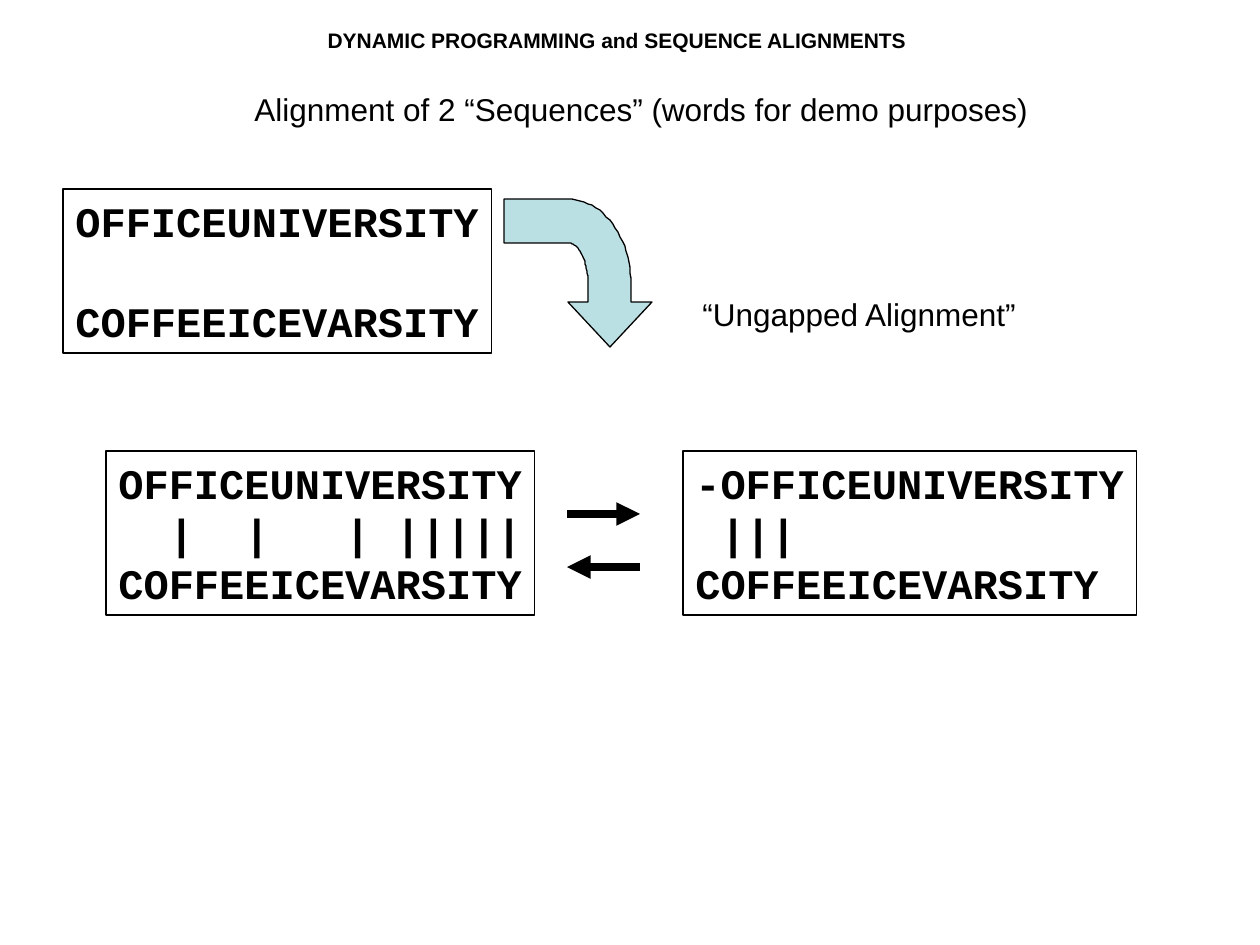
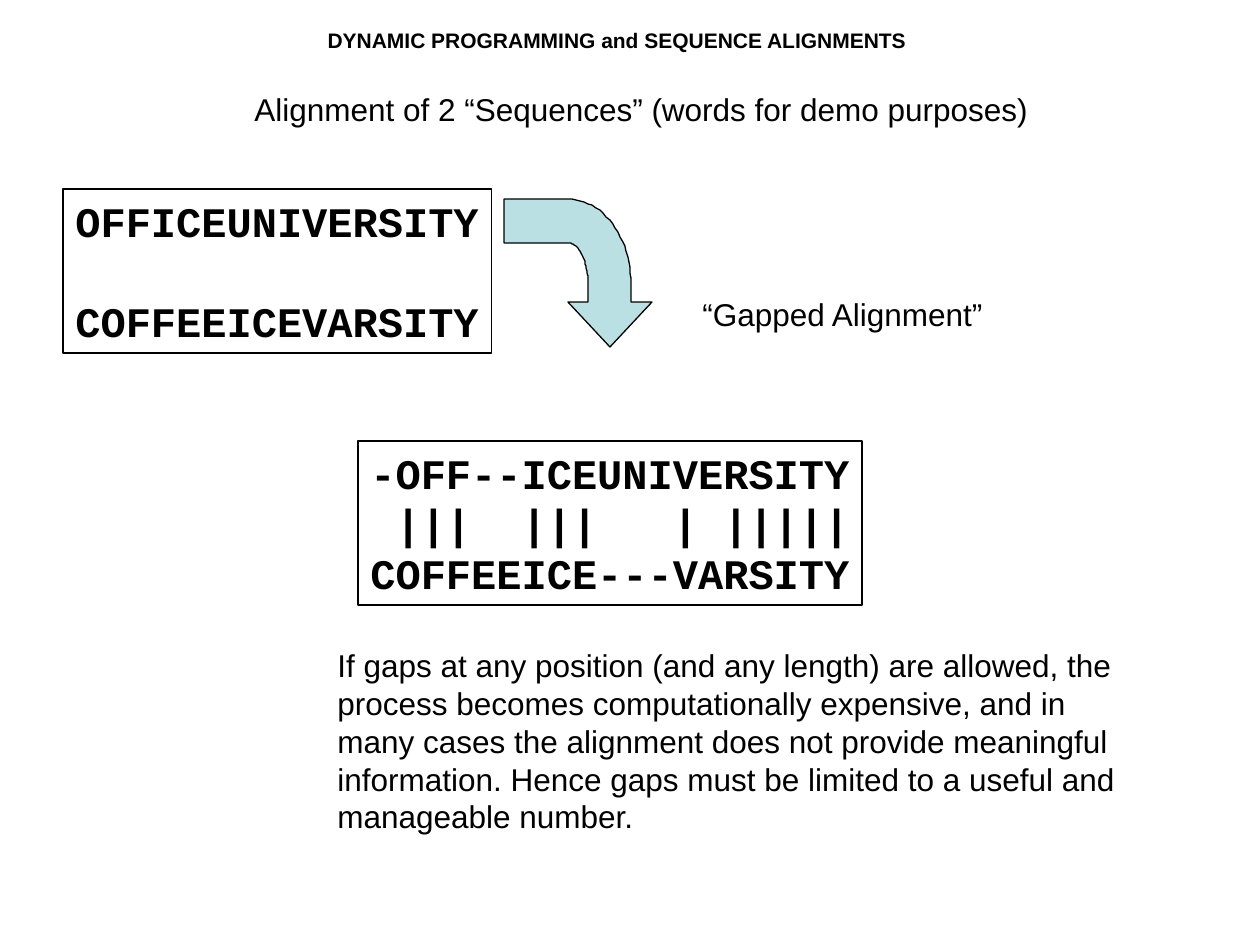
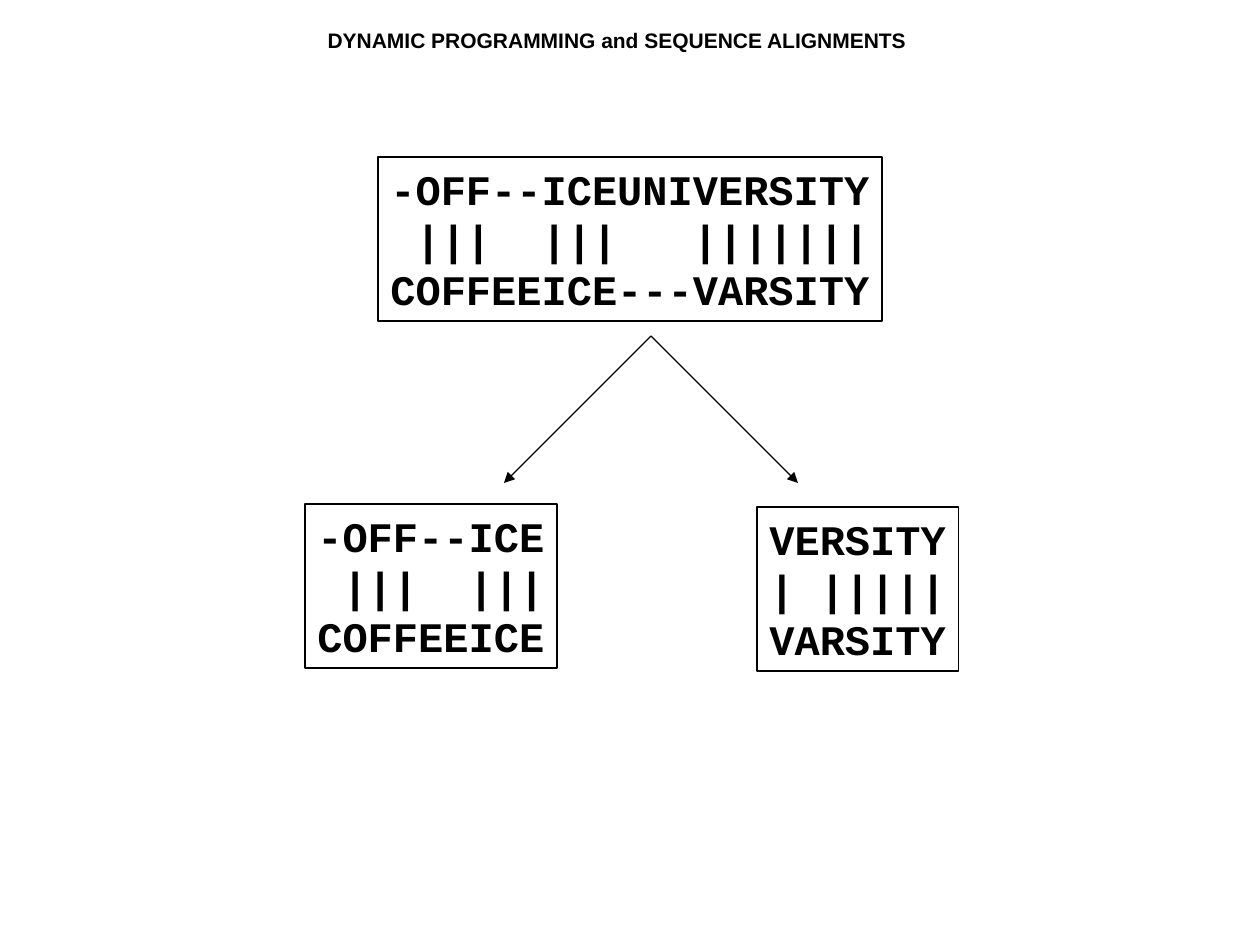
"""Build three slides on gapped and ungapped sequence alignments."""
import math
import pptx
import pptx.dml.color
import pptx.enum.shapes
import pptx.enum.text
import pptx.oxml
import pptx.oxml.ns
import pptx.util

SCALE = 914400 / 126
THEME = {
    "ink": "000000", "fill": "BBE0E3", "thin": 0.75, "thick": 4.5, "lead": 1.2,
    "title": {"name": "Arial", "size": 12, "bold": True},
    "text": {"name": "Arial", "size": 18, "bold": False},
    "code": {"name": "Courier New", "size": 24, "bold": True},
}
FRAME = {
    "margin_left": 0.1, "margin_right": 0.1, "margin_top": 0.05, "margin_bottom": 0.05,
}
TITLE = "DYNAMIC PROGRAMMING and SEQUENCE ALIGNMENTS"
TITLE_BOX = (315, 21, 605, 38)
TOPIC = ("Alignment of 2 “Sequences” (words for demo purposes)", (242, 84, 799, 50), False)
WORDS = (63, 189, ["OFFICEUNIVERSITY", "COFFEEICEVARSITY"])
ROWS, CELL, HIGH = 3, 25.2, 164
GAPPED = ["-OFF--ICEUNIVERSITY", " |||  |||   | |||||", "COFFEEICE---VARSITY"]

SLIDES = [
    {
        "texts": [TOPIC, ("“Ungapped Alignment”", (690, 289, 340, 50), False)],
        "pairs": [
            WORDS,
            (106, 451, ["OFFICEUNIVERSITY", "  |  |   | |||||", "COFFEEICEVARSITY"]),
            (683, 451, ["-OFFICEUNIVERSITY", " |||", "COFFEEICEVARSITY"]),
        ],
        "bend": (504, 199),
        "lines": [(567, 514, 640, 514, "thick"), (640, 567, 567, 567, "thick")],
    },
    {
        "texts": [
            TOPIC,
            ("“Gapped Alignment”", (690, 289, 307, 50), False),
            ("If gaps at any position (and any length) are allowed, the process becomes "
             "computationally expensive, and in many cases the alignment does not provide "
             "meaningful information. Hence gaps must be limited to a useful and "
             "manageable number.", (325, 640, 813, 202), True),
        ],
        "pairs": [WORDS, (358, 441, GAPPED)],
        "bend": (504, 199),
    },
    {
        "pairs": [
            (378, 157, [GAPPED[0], " |||  |||   |||||||", GAPPED[2]]),
            (305, 504, ["-OFF--ICE", " |||  |||", "COFFEEICE"]),
            (757, 507, ["VERSITY", "| |||||", "VARSITY"]),
        ],
        "lines": [(651, 336, end, 483, "thin") for end in (504, 798)],
    },
]


def px(*nums):
    """Turn px into EMU."""
    return [pptx.util.Emu(round(num * SCALE)) for num in nums]


def tint(name):
    """Give a theme colour."""
    return pptx.dml.color.RGBColor.from_string(THEME[name])


def stroke(line, width):
    """Set the colour and width of a line."""
    line.color.rgb = tint("ink")
    line.width = pptx.util.Pt(THEME[width])


def write(shape, rows, kind, wrap=False, gap=0):
    """Fill a shape with rows of text, with blank lines as a gap between them."""
    frame, style = shape.text_frame, THEME[kind]
    for key, size in FRAME.items():
        setattr(frame, key, pptx.util.Inches(size))
    frame.vertical_anchor = pptx.enum.text.MSO_ANCHOR.TOP
    frame.auto_size = pptx.enum.text.MSO_AUTO_SIZE.SHAPE_TO_FIT_TEXT
    frame.word_wrap = wrap
    pitch = style["size"] * THEME["lead"]
    for num, row in enumerate(rows):
        para = frame.add_paragraph() if num else frame.paragraphs[0]
        para.add_run().text = row
        para.alignment = pptx.enum.text.PP_ALIGN.LEFT
        para.line_spacing = pptx.util.Pt(pitch)
        para.space_before = pptx.util.Pt(gap * pitch if num else 0)
        font = para.runs[0].font
        for key, value in style.items():
            setattr(font, key, pptx.util.Pt(value) if key == "size" else value)
        font.color.rgb = tint("ink")


def add_pair(slide, left, top, rows):
    """Add a framed pair of words, as wide as its longest row."""
    wide = CELL * (max(map(len, rows)) + 1)
    box = slide.shapes.add_textbox(*px(left, top, wide, HIGH))
    stroke(box.line, "thin")
    write(box, rows, "code", gap=ROWS - len(rows))


def arc(mid, radii, steps=24):
    """Give the points of a quarter turn from the right to the top."""
    turns = [math.pi / 2 * step / steps for step in range(steps + 1)]
    return [(mid[0] + radii[0] * math.cos(turn), mid[1] - radii[1] * math.sin(turn))
            for turn in turns]


def add_bend(slide, left, top):
    """Add the arrow that turns down."""
    mid = (64, 85)
    points = [(106, 148), (148, 103), (127, 103), *arc(mid, (63, 85)), (0, 0), (0, 44),
              *reversed(arc(mid, (20, 41))), (84, 103), (64, 103)]
    spots = [(left + x, top + y) for x, y in points]
    form = slide.shapes.build_freeform(*spots[0], scale=SCALE)
    form.add_line_segments(spots[1:], close=True)
    bend = form.convert_to_shape()
    bend.shadow.inherit = False
    bend.fill.solid()
    bend.fill.fore_color.rgb = tint("fill")
    stroke(bend.line, "thin")


def add_arrow(slide, *spec_ends):
    """Add a straight arrow."""
    *ends, width = spec_ends
    kind = pptx.enum.shapes.MSO_CONNECTOR.STRAIGHT
    arrow = slide.shapes.add_connector(kind, *px(*ends))
    stroke(arrow.line, width)
    space = pptx.oxml.ns.nsdecls("a")
    props = arrow.line._get_or_add_ln()
    props.append(pptx.oxml.parse_xml(f'<a:tailEnd {space} type="triangle"/>'))
    props.getparent().append(pptx.oxml.parse_xml(f"<a:effectLst {space}/>"))


def main():
    """Build and save the deck."""
    deck = pptx.Presentation()
    deck.slide_width, deck.slide_height = px(1260, 945)
    for page in SLIDES:
        slide = deck.slides.add_slide(deck.slide_layouts[5])
        title = slide.shapes.title
        title.left, title.top, title.width, title.height = px(*TITLE_BOX)
        write(title, [TITLE], "title")
        for pair in page["pairs"]:
            add_pair(slide, *pair)
        for text, place, wrap in page.get("texts", []):
            write(slide.shapes.add_textbox(*px(*place)), [text], "text", wrap)
        if "bend" in page:
            add_bend(slide, *page["bend"])
        for line in page.get("lines", []):
            add_arrow(slide, *line)
    deck.save("out.pptx")


if __name__ == "__main__":
    main()
